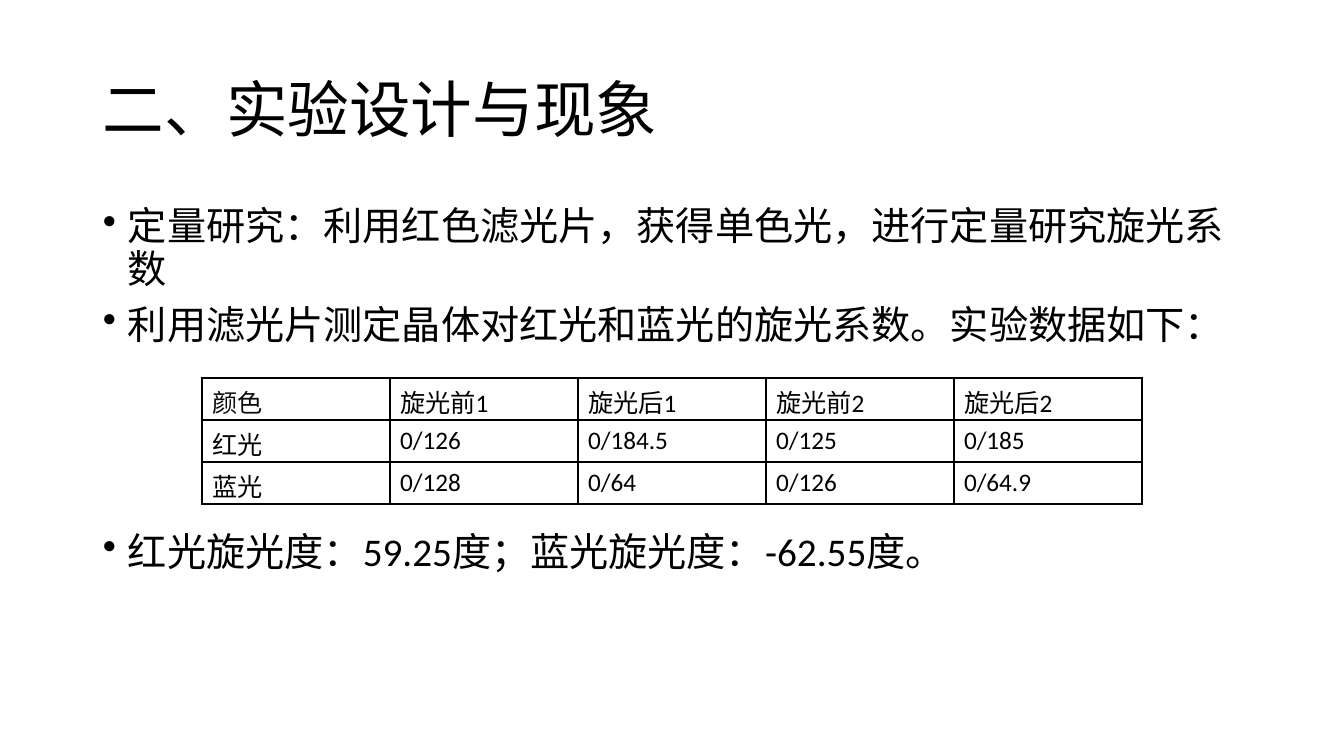
from pptx import Presentation
from pptx.dml.color import RGBColor
from pptx.enum.text import MSO_ANCHOR
from pptx.oxml import parse_xml
from pptx.oxml.ns import nsdecls
from pptx.util import Emu, Pt

# Content
TITLE = "二、实验设计与现象"
# (text, space before in points); the last gap leaves room for the table
POINTS = [
    ("定量研究：利用红色滤光片，获得单色光，进行定量研究旋光系数", 0),
    ("利用滤光片测定晶体对红光和蓝光的旋光系数。实验数据如下：", 10),
    ("红光旋光度：59.25度；蓝光旋光度：-62.55度。", 132),
]
ROWS = [
    ["颜色", "旋光前1", "旋光后1", "旋光前2", "旋光后2"],
    ["红光", "0/126", "0/184.5", "0/125", "0/185"],
    ["蓝光", "0/128", "0/64", "0/126", "0/64.9"],
]

# Format
COLORS = {"ink": "000000", "head": "0D0D0D", "paper": "FFFFFF"}
FONT = "Calibri"
SIZES = {"title": 44, "body": 28, "cell": 18}

# Layout in px
WIDE, HIGH = 1344, 756
LEFT, SPAN = 93, 1159
TITLE_TOP, TITLE_HIGH = 40, 146
BODY_TOP, BODY_HIGH = 202, 480
GRID_LEFT, GRID_TOP = 202, 378
COL, ROW = 188, 42
INDENT = 25


def px(n):
    return Emu(round(n * 914400 / 100.8))


def write(para, text, kind, color="ink"):
    run = para.add_run()
    run.text = text
    style = {"name": FONT, "size": Pt(SIZES[kind])}
    for key, value in style.items():
        setattr(run.font, key, value)
    run.font.color.rgb = RGBColor.from_string(COLORS[color])


def add_box(slide, top, high, anchor):
    box = slide.shapes.add_textbox(px(LEFT), px(top), px(SPAN), px(high))
    frame = box.text_frame
    for key, value in {"word_wrap": True, "vertical_anchor": anchor}.items():
        setattr(frame, key, value)
    return frame


def add_bullet(para):
    props = para._p.get_or_add_pPr()
    props.set("marL", str(px(INDENT)))
    props.set("indent", str(-px(INDENT)))
    props.append(parse_xml(f'<a:buChar {nsdecls("a")} char="•"/>'))


def add_border(cell):
    props = cell._tc.get_or_add_tcPr()
    for side in "LRTB":
        props.append(parse_xml(
            f'<a:ln{side} {nsdecls("a")} w="{Pt(1)}"><a:solidFill>'
            f'<a:srgbClr val="{COLORS["ink"]}"/></a:solidFill></a:ln{side}>'))


def main():
    deck = Presentation()
    deck.slide_width, deck.slide_height = px(WIDE), px(HIGH)
    slide = deck.slides.add_slide(deck.slide_layouts[6])

    # Title
    para = add_box(slide, TITLE_TOP, TITLE_HIGH, MSO_ANCHOR.MIDDLE).paragraphs[0]
    para.line_spacing = 0.9
    write(para, TITLE, "title")

    # Bullet points
    frame = add_box(slide, BODY_TOP, BODY_HIGH, MSO_ANCHOR.TOP)
    for i, (text, gap) in enumerate(POINTS):
        para = frame.add_paragraph() if i else frame.paragraphs[0]
        add_bullet(para)
        for key, value in {"line_spacing": 0.9, "space_before": Pt(gap)}.items():
            setattr(para, key, value)
        write(para, text, "body")

    # Data table
    cols = len(ROWS[0])
    table = slide.shapes.add_table(
        len(ROWS), cols, px(GRID_LEFT), px(GRID_TOP),
        px(COL * cols), px(ROW * len(ROWS))).table
    for key in ("first_row", "horz_banding"):
        setattr(table, key, False)
    for r, row in enumerate(ROWS):
        for c, text in enumerate(row):
            cell = table.cell(r, c)
            add_border(cell)
            cell.fill.solid()
            cell.fill.fore_color.rgb = RGBColor.from_string(COLORS["paper"])
            color = "head" if r == c == 0 else "ink"
            write(cell.text_frame.paragraphs[0], text, "cell", color)

    deck.save("out.pptx")


if __name__ == "__main__":
    main()
